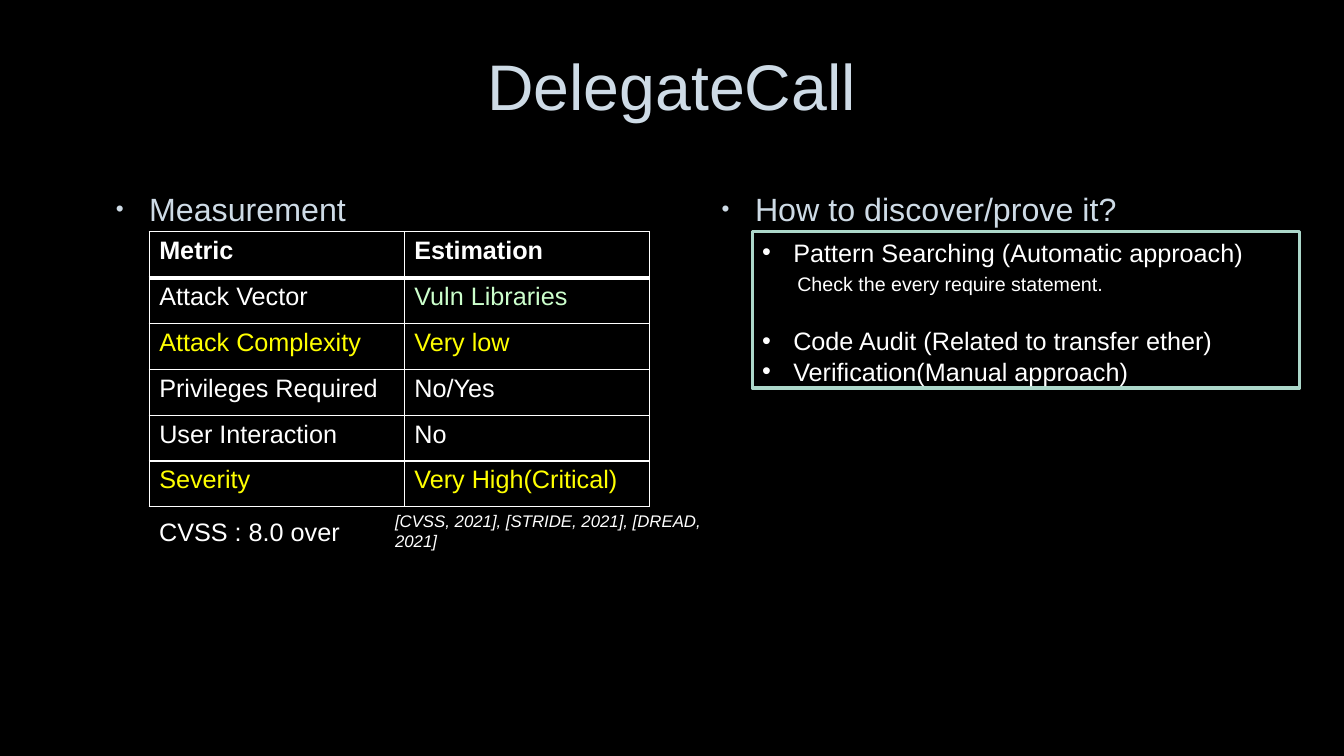
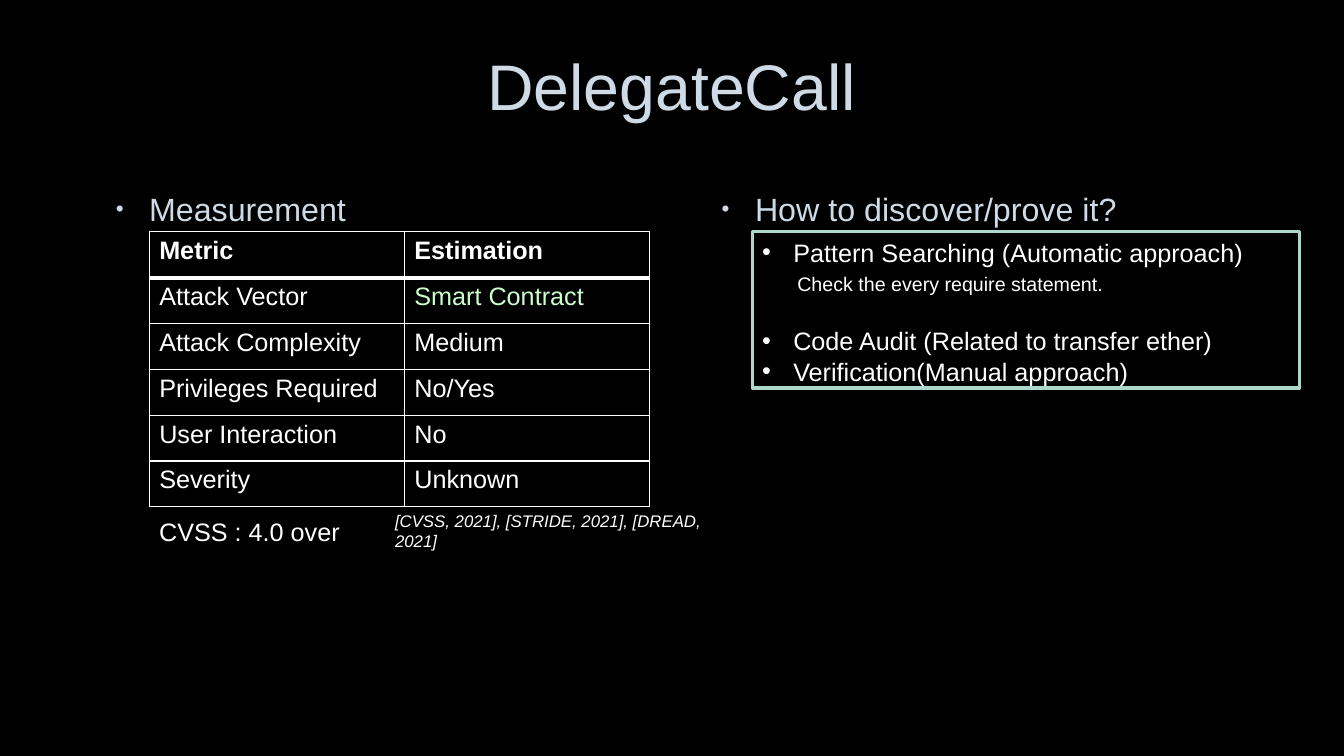
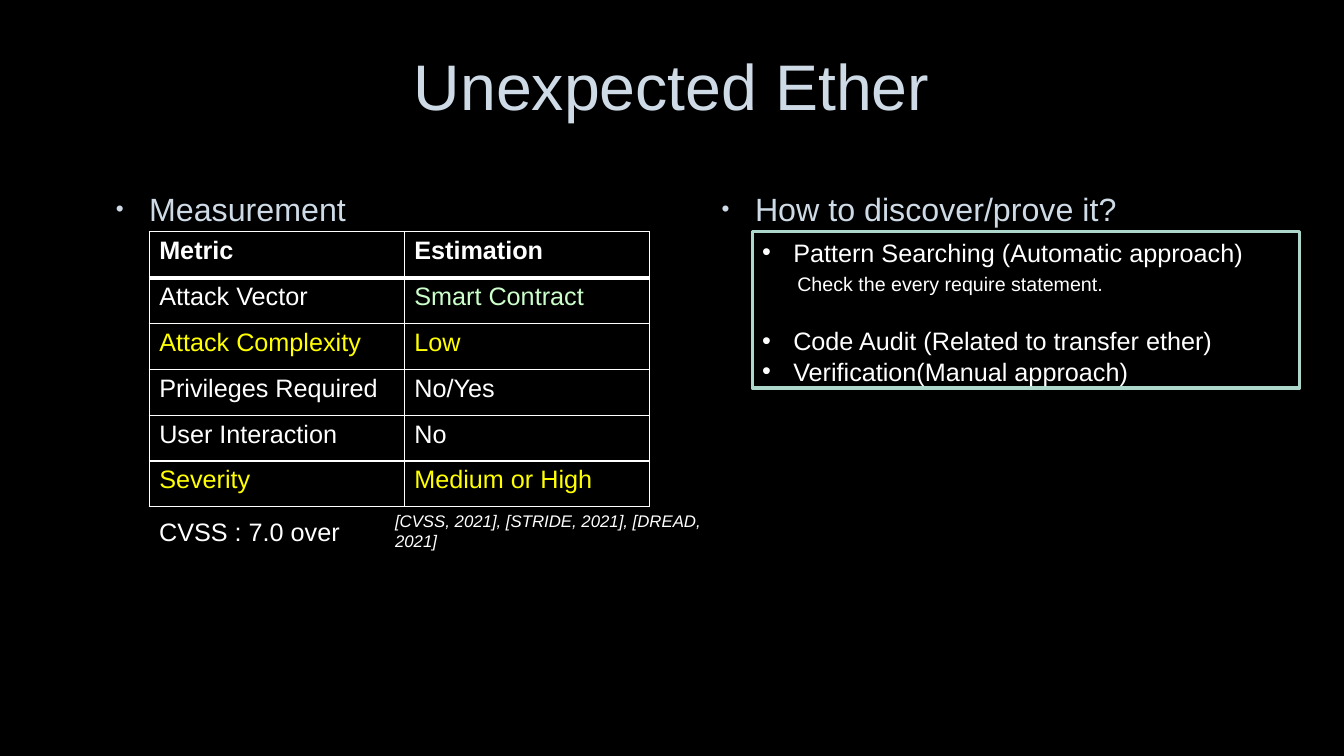
from lxml.etree import SubElement as Sub
from pptx import Presentation
from pptx.dml.color import RGBColor as Rgb
from pptx.enum.shapes import MSO_SHAPE as Kind
from pptx.enum.text import MSO_ANCHOR as Anchor, PP_ALIGN as Align
from pptx.oxml.ns import qn
from pptx.util import Inches, Pt

HUES = {
    "back": "000000", "head": "CEDBE6", "text": "FFFFFF",
    "hot": "FFFF00", "safe": "CCFFCC", "frame": "ACD7CA",
}
FACE = "Arial"
CITE = "[CVSS, 2021], [STRIDE, 2021], [DREAD, 2021]"
STEPS = [
    ("Pattern Searching (Automatic approach)", 18, True, 0),
    ("Check the every require statement.", 14, False, 3.6),
    ("Code Audit (Related to transfer ether)", 18, True, 21.5),
    ("Verification(Manual approach)", 18, True, 0),
]
CASES = [
    ("DelegateCall", "Vuln Libraries", "Very low", "Very High(Critical)", "8.0", "hot"),
    ("DelegateCall", "Smart Contract", "Medium", "Unknown", "4.0", "text"),
    ("Unexpected Ether", "Smart Contract", "Low", "Medium or High", "7.0", "hot"),
]


def hue(name):
    """Return the named colour."""
    return Rgb.from_string(HUES[name])


def put(item, **vals):
    """Set each given attribute on the item."""
    for key, val in vals.items():
        setattr(item, key, val)


def area(left, top, width, height):
    """Return a position and size in inches."""
    return [Inches(n) for n in (left, top, width, height)]


def write(para, text, size, tone="text", **style):
    """Add one formatted run to a paragraph."""
    run = para.add_run()
    run.text = text
    put(run.font, name=FACE, size=Pt(size), **style)
    run.font.color.rgb = hue(tone)


def indent(para, left, hang=0):
    """Set the left margin and hanging indent of a paragraph."""
    props = para._p.get_or_add_pPr()
    props.set("marL", str(Inches(left)))
    props.set("indent", str(-Inches(hang)))
    return props


def bullet(para, left, hang, tone="text", scale=100):
    """Give a paragraph a hanging round bullet."""
    props = indent(para, left, hang)
    Sub(Sub(props, qn("a:buClr")), qn("a:srgbClr"), val=HUES[tone])
    Sub(props, qn("a:buSzPct"), val=str(scale * 1000))
    Sub(props, qn("a:buFont"), typeface=FACE)
    Sub(props, qn("a:buChar"), char="•")


def label(slide, box, text, size, **style):
    """Add a wrapped text box with one line of text."""
    frame = slide.shapes.add_textbox(*area(*box)).text_frame
    frame.word_wrap = True
    write(frame.paragraphs[0], text, size, **style)
    return frame


def title(slide, text):
    """Place and fill the title placeholder."""
    shape = slide.shapes.title
    left, top, width, height = area(1, 0.2, 11.32, 1.38)
    put(shape, left=left, top=top, width=width, height=height)
    put(shape.text_frame, vertical_anchor=Anchor.MIDDLE, word_wrap=True)
    para = shape.text_frame.paragraphs[0]
    put(para, alignment=Align.CENTER, line_spacing=0.9)
    write(para, text, 46, "head")


def heading(slide, left, height, text):
    """Add a bulleted column heading."""
    frame = label(slide, (left, 1.77, 5.31, height), text, 23, tone="head")
    frame.margin_top = Inches(0.11)
    bullet(frame.paragraphs[0], 0.38, 0.33, "head", 70)


def border(cell, sides):
    """Draw the cell borders, given a width in points for each side."""
    props = cell._tc.get_or_add_tcPr()
    for side, width in sides.items():
        line = Sub(props, qn(f"a:ln{side}"), w=str(Pt(width)))
        Sub(Sub(line, qn("a:solidFill")), qn("a:srgbClr"), val=HUES["text"])


def grid(slide, rows):
    """Add the metric table from rows of two texts and two tones."""
    table = slide.shapes.add_table(len(rows), 2, *area(1.48, 2.3, 4.96, 2.73)).table
    for col, width in zip(table.columns, (2.53, 2.43)):
        col.width = Inches(width)
    for r, (name, value, *tones) in enumerate(rows):
        for c, text in enumerate((name, value)):
            cell = table.cell(r, c)
            border(cell, {"L": 1, "R": 1, "T": 3 if r == 1 else 1, "B": 3 if r == 0 else 1})
            cell.fill.background()
            write(cell.text_frame.paragraphs[0], text, 18, tones[c], bold=r == 0)


def panel(slide):
    """Add the framed list of discovery steps."""
    shape = slide.shapes.add_shape(Kind.RECTANGLE, *area(7.46, 2.3, 5.43, 1.55))
    shape.shadow.inherit = False
    shape.fill.background()
    shape.line.color.rgb = hue("frame")
    shape.line.width = Pt(2.25)
    frame = shape.text_frame
    put(frame, word_wrap=True, vertical_anchor=Anchor.TOP)
    for i, (text, size, dot, gap) in enumerate(STEPS):
        para = frame.add_paragraph() if i else frame.paragraphs[0]
        if dot:
            bullet(para, 0.31, 0.31)
        else:
            indent(para, 0.35)
        para.alignment = Align.LEFT
        if gap:
            para.space_before = Pt(gap)
        write(para, text, size)


def build(slide, name, vector, effort, level, score, tone):
    """Fill one slide with the assessment of a weakness."""
    title(slide, name)
    heading(slide, 1, 2.39, "Measurement")
    heading(slide, 7.01, 0.7, "How to discover/prove it?")
    grid(slide, [
        ("Metric", "Estimation", "text", "text"),
        ("Attack Vector", vector, "text", "safe"),
        ("Attack Complexity", effort, tone, tone),
        ("Privileges Required", "No/Yes", "text", "text"),
        ("User Interaction", "No", "text", "text"),
        ("Severity", level, tone, tone),
    ])
    label(slide, (1.48, 5.07, 3.69, 0.4), f"CVSS : {score} over", 18)
    label(slide, (3.82, 5.02, 3.63, 0.3), CITE, 12, italic=True)
    panel(slide)


def main():
    """Build and save the deck."""
    deck = Presentation()
    put(deck, slide_width=Inches(13.33), slide_height=Inches(7.5))
    fill = deck.slide_master.background.fill
    fill.solid()
    fill.fore_color.rgb = hue("back")
    for case in CASES:
        build(deck.slides.add_slide(deck.slide_layouts[5]), *case)
    deck.save("out.pptx")


if __name__ == "__main__":
    main()
